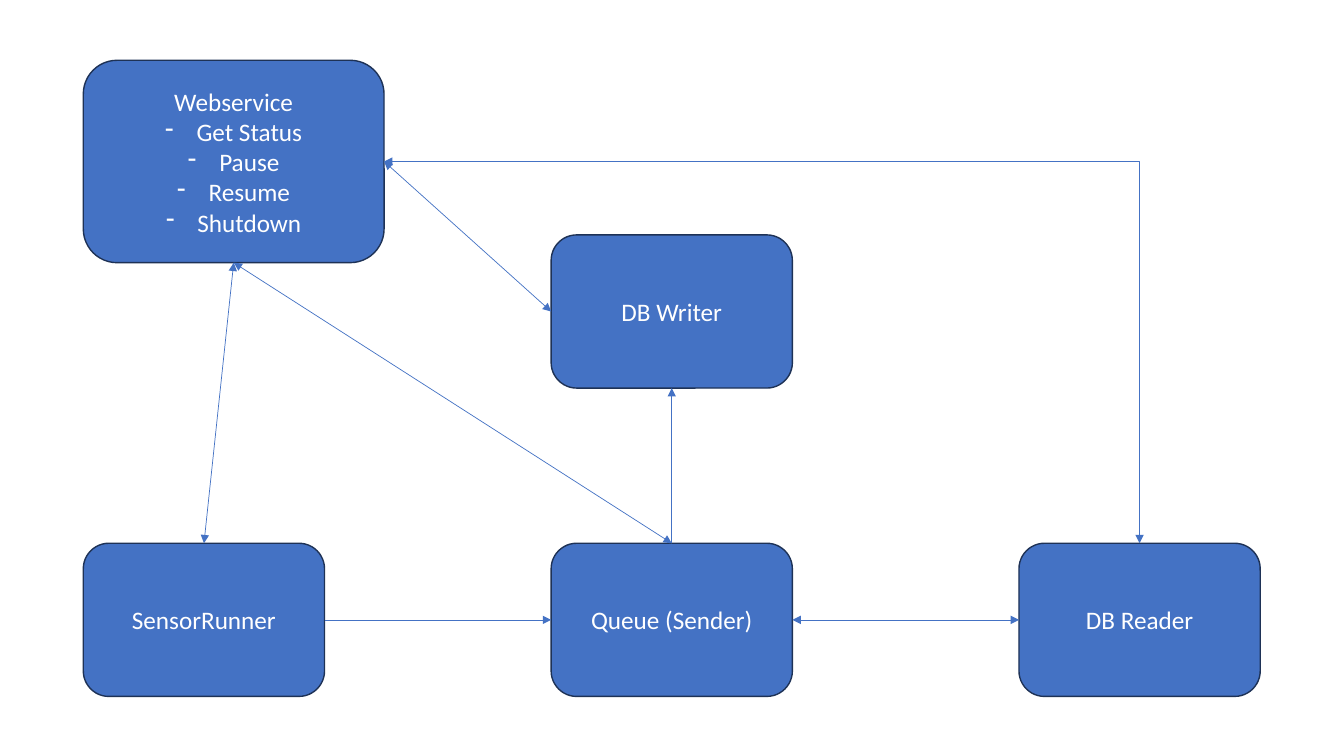
from lxml import etree
from pptx import Presentation
from pptx.dml.color import RGBColor
from pptx.enum.shapes import MSO_CONNECTOR, MSO_SHAPE
from pptx.enum.text import MSO_ANCHOR, PP_ALIGN
from pptx.oxml.ns import qn
from pptx.util import Cm, Pt

ROUNDED = MSO_SHAPE.ROUNDED_RECTANGLE
STRAIGHT, ELBOW = MSO_CONNECTOR.STRAIGHT, MSO_CONNECTOR.ELBOW
MIDDLE, CENTER = MSO_ANCHOR.MIDDLE, PP_ALIGN.CENTER
TOP, LEFT, BOTTOM, RIGHT = range(4)  # connection sites of a rounded rectangle

COLUMNS = [2.1 + 11.79 * index for index in range(3)]
WRITER_TOP, BOTTOM_ROW = 5.92, 13.69


def color(value):
    return RGBColor.from_string(value)


class Diagram:
    font, size = "Calibri", 18
    fill, outline, text_color = "4472C4", "1E3256", "FFFFFF"

    def __init__(self, page):
        self.page = page

    def box(self, left, top, title, commands=(), width=6.08, height=3.86):
        box = self.page.shapes.add_shape(
            ROUNDED, Cm(left), Cm(top), Cm(width), Cm(height))
        box.shadow.inherit = False
        box.fill.solid()
        box.fill.fore_color.rgb = color(self.fill)
        box.line.color.rgb = color(self.outline)
        box.line.width = Pt(1)
        frame = box.text_frame
        frame.word_wrap = True
        frame.vertical_anchor = MIDDLE
        self.label(frame.paragraphs[0], title)
        for command in commands:
            para = frame.add_paragraph()
            self.label(para, command)
            self.dash(para)
        return box

    def label(self, para, words):
        para.alignment = CENTER
        span = para.add_run()
        span.text = words
        span.font.name = self.font
        span.font.size = Pt(self.size)
        span.font.color.rgb = color(self.text_color)

    def dash(self, para):
        """Give the paragraph a dash bullet with a hanging indent."""
        properties = para._p.get_or_add_pPr()
        properties.set("marL", str(Cm(0.79)))
        properties.set("indent", str(-Cm(0.79)))
        etree.SubElement(properties, qn("a:buFontTx"))
        etree.SubElement(properties, qn("a:buChar")).set("char", "-")

    def arrow(self, start, start_site, end, end_site, both=True, kind=STRAIGHT):
        arrow = self.page.shapes.add_connector(kind, 0, 0, 0, 0)
        arrow.begin_connect(start, start_site)
        arrow.end_connect(end, end_site)
        arrow.line.color.rgb = color(self.fill)
        arrow.line.width = Pt(0.5)
        line = arrow.line._get_or_add_ln()
        for tag in ("a:headEnd", "a:tailEnd") if both else ("a:tailEnd",):
            etree.SubElement(line, qn(tag)).set("type", "triangle")
        properties = arrow._element.spPr
        etree.SubElement(properties, qn("a:effectLst"))
        if kind == ELBOW:  # a single corner
            properties.find(qn("a:prstGeom")).set("prst", "bentConnector2")


def main():
    deck = Presentation()
    deck.slide_width, deck.slide_height = Cm(33.87), Cm(19.05)
    diagram = Diagram(deck.slides.add_slide(deck.slide_layouts[6]))

    webservice = diagram.box(
        COLUMNS[0], 1.52, "Webservice",
        ["Get Status", "Pause", "Resume", "Shutdown"], width=7.58, height=5.1)
    runner = diagram.box(COLUMNS[0], BOTTOM_ROW, "SensorRunner")
    sender = diagram.box(COLUMNS[1], BOTTOM_ROW, "Queue (Sender)")
    writer = diagram.box(COLUMNS[1], WRITER_TOP, "DB Writer")
    reader = diagram.box(COLUMNS[2], BOTTOM_ROW, "DB Reader")

    diagram.arrow(runner, RIGHT, sender, LEFT, both=False)
    diagram.arrow(reader, LEFT, sender, RIGHT)
    diagram.arrow(sender, TOP, writer, BOTTOM, both=False)
    diagram.arrow(runner, TOP, webservice, BOTTOM)
    diagram.arrow(writer, LEFT, webservice, RIGHT)
    diagram.arrow(sender, TOP, webservice, BOTTOM)
    diagram.arrow(webservice, RIGHT, reader, TOP, kind=ELBOW)

    deck.save("out.pptx")


if __name__ == "__main__":
    main()
